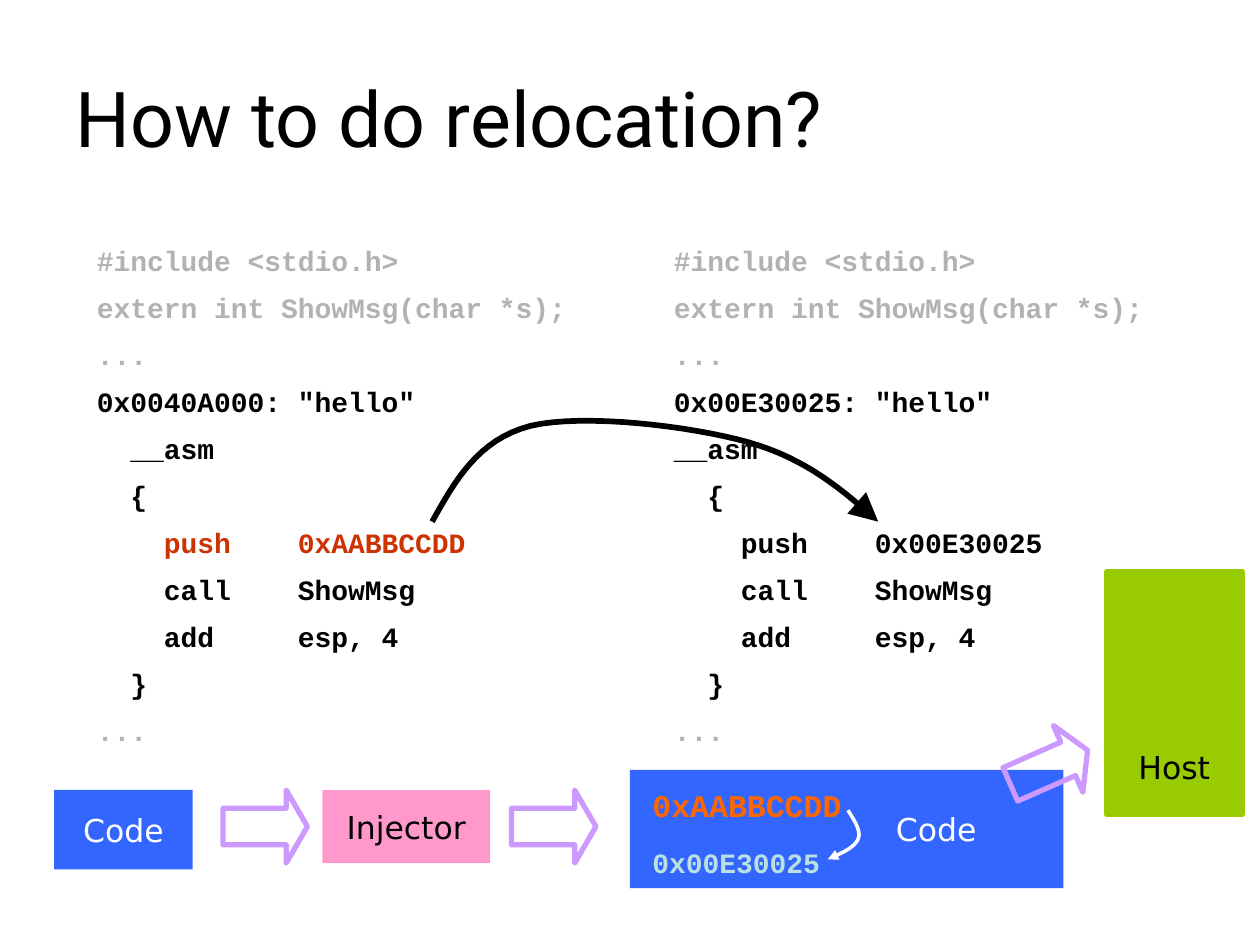
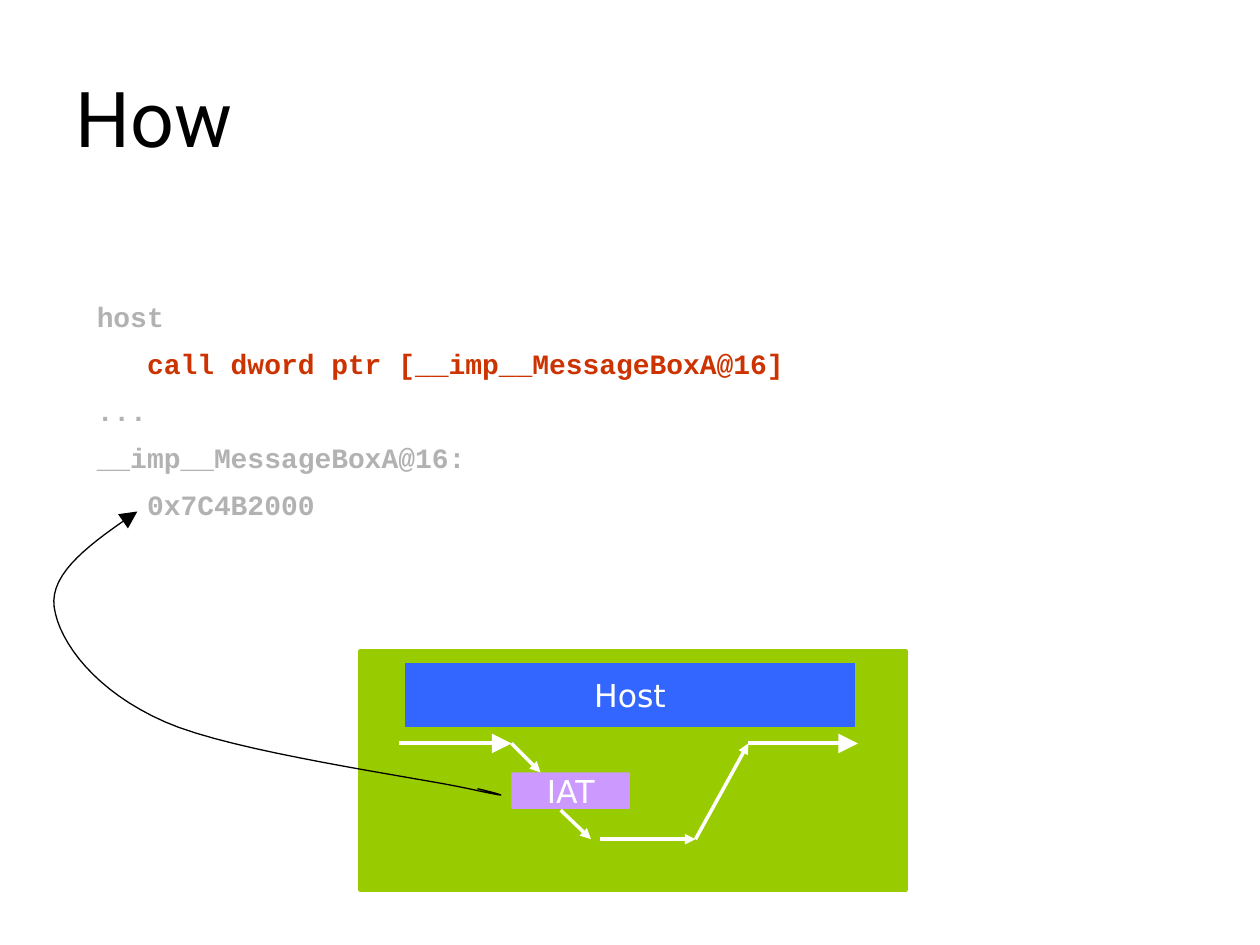
from pptx import Presentation
from pptx.dml.color import RGBColor
from pptx.enum.shapes import MSO_CONNECTOR, MSO_SHAPE
from pptx.enum.text import MSO_ANCHOR, PP_ALIGN
from pptx.oxml.ns import qn
from pptx.util import Inches, Pt
from lxml import etree

BLACK = RGBColor(0x00, 0x00, 0x00)
WHITE = RGBColor(0xFF, 0xFF, 0xFF)
GRAY = RGBColor(0xB2, 0xB2, 0xB2)
RED = RGBColor(0xCC, 0x33, 0x00)
ORANGE = RGBColor(0xFF, 0x66, 0x00)
BLUE = RGBColor(0x33, 0x66, 0xFF)
PALE = RGBColor(0xBB, 0xE0, 0xE3)
PINK = RGBColor(0xFF, 0x99, 0xCC)
LILAC = RGBColor(0xCC, 0x99, 0xFF)
GREEN = RGBColor(0x99, 0xCC, 0x00)

HEAD_FONT = "Roboto"
BODY_FONT = "DejaVu Sans"
CODE_FONT = "Courier New"

RECT, ARROW = MSO_SHAPE.RECTANGLE, MSO_SHAPE.RIGHT_ARROW
STRAIGHT = MSO_CONNECTOR.STRAIGHT
LEFT, CENTER = PP_ALIGN.LEFT, PP_ALIGN.CENTER
TOP, MIDDLE, BOTTOM = MSO_ANCHOR.TOP, MSO_ANCHOR.MIDDLE, MSO_ANCHOR.BOTTOM

COLS, ROWS = 100, 75
STEPS = 16


def grid(*cells):
    """Turn grid cells of a tenth of an inch into lengths."""
    return [Inches(cell / 10) for cell in cells]


def write(shape, lines, size=18, font=BODY_FONT, color=BLACK, bold=False,
          align=LEFT, anchor=TOP, space=1.0, left=1, foot=0.5):
    """Fill a shape with lines, each a string or a (string, colour) pair."""
    frame = shape.text_frame
    frame.word_wrap = True
    frame.vertical_anchor = anchor
    frame.margin_left, frame.margin_bottom = grid(left, foot)
    for i, line in enumerate(lines):
        words, tint = (line, color) if isinstance(line, str) else line
        para = frame.add_paragraph() if i else frame.paragraphs[0]
        para.alignment = align
        para.line_spacing = space
        run = para.add_run()
        run.text = words
        run.font.size = Pt(size)
        run.font.name = font
        run.font.bold = bold
        run.font.color.rgb = tint


def label(slide, area, lines, **style):
    """Add a text box on the grid."""
    write(slide.shapes.add_textbox(*grid(*area)), lines, **style)


def code(slide, area, lines, size=16, **style):
    """Add bold code in the fixed-width font."""
    label(slide, area, lines, size=size, font=CODE_FONT, bold=True, **style)


def title(slide, words):
    """Add the slide title."""
    label(slide, (5, 3, 90, 12.5), [words], size=44, font=HEAD_FONT,
          anchor=MIDDLE)


def block(slide, area, fill, words=None, color=WHITE, edge=None,
          anchor=MIDDLE, **style):
    """Add a filled rectangle with an optional caption."""
    shape = slide.shapes.add_shape(RECT, *grid(*area))
    shape.shadow.inherit = False
    shape.fill.solid()
    shape.fill.fore_color.rgb = fill
    if edge is None:
        shape.line.fill.background()
    else:
        shape.line.color.rgb = edge
        shape.line.width = Pt(3)
    if words:
        write(shape, [words], color=color, align=CENTER, anchor=anchor, **style)


def flow(slide, left, top, turn=0):
    """Add an outlined block arrow."""
    shape = slide.shapes.add_shape(ARROW, *grid(left, top, 6.7, 5.8))
    shape.shadow.inherit = False
    shape.adjustments[0], shape.adjustments[1] = 0.5, 0.29
    shape.rotation = turn
    shape.fill.background()
    shape.line.color.rgb = LILAC
    shape.line.width = Pt(3)


def stroke(shape, color, width, tip):
    """Style a line and give its end a triangle."""
    shape.line.color.rgb = color
    shape.line.width = Pt(width)
    edge = shape.line._get_or_add_ln()
    etree.SubElement(edge, qn("a:tailEnd"), type="triangle", w=tip, len=tip)


def link(slide, start, end, width=2, tip="med"):
    """Add a straight white arrow."""
    line = slide.shapes.add_connector(STRAIGHT, *grid(*start, *end))
    stroke(line, WHITE, width, tip)
    etree.SubElement(line._element.spPr, qn("a:effectLst"))


def bend(a, b, c, d):
    """Return points along one cubic curve, after its start."""
    points = []
    for step in range(1, STEPS + 1):
        t = step / STEPS
        u = 1 - t
        points.append(tuple(grid(*(
            u**3 * p + 3 * u * u * t * q + 3 * u * t * t * r + t**3 * s
            for p, q, r, s in zip(a, b, c, d)))))
    return points


def curve(slide, knots, color, width, tip):
    """Draw a curved arrow through cubic knots."""
    path = slide.shapes.build_freeform(*grid(*knots[0]))
    for i in range(0, len(knots) - 1, 3):
        path.add_line_segments(bend(*knots[i:i + 4]), close=False)
    shape = path.convert_to_shape()
    shape.shadow.inherit = False
    shape.fill.background()
    stroke(shape, color, width, tip)


def source(slide, left, data, asm, value, tint):
    """Add the listing with its data address and pushed value."""
    code(slide, (left, 17.8, 42.5, 42), [
        ("#include <stdio.h>", GRAY),
        ("extern int ShowMsg(char *s);", GRAY),
        ("...", GRAY),
        f'{data}: "hello"',
        asm,
        "  {",
        (f"    push    {value}", tint),
        "    call    ShowMsg",
        "    add     esp, 4",
        "  }",
        ("...", GRAY),
    ], space=1.4)


def move(slide):
    """Build the relocation slide."""
    title(slide, "How to do relocation?")
    source(slide, 6.7, "0x0040A000", "  __asm", "0xAABBCCDD", RED)
    source(slide, 52.5, "0x00E30025", "__asm", "0x00E30025", BLACK)
    curve(slide, [(34.3, 41.4), (36.1, 38.2), (37.9, 34.9), (42.1, 33.8),
                  (46.3, 32.8), (54.8, 33.8), (59.4, 35.1),
                  (64, 36.4), (66.9, 38.9), (69.7, 41.4)], BLACK, 3.25, "lg")
    block(slide, (25.6, 62.7, 13.3, 5.8), PINK, "Injector", color=BLACK)
    block(slide, (50, 61.1, 34.4, 9.4), BLUE, "Code", left=15.2)
    code(slide, (50.8, 61.9, 18, 4), ["0xAABBCCDD"], size=18, color=ORANGE)
    code(slide, (50.8, 66.6, 18, 3.7), ["0x00E30025"], color=PALE)
    curve(slide, [(67.3, 64.3), (67.8, 65.1), (68.4, 66), (68.1, 66.6),
                  (67.8, 67.3), (66.8, 67.7), (65.7, 68.2)], WHITE, 2, "med")
    block(slide, (4.3, 62.7, 11, 6.3), BLUE, "Code")
    for left in (17.7, 40.6):
        flow(slide, left, 62.7)
    block(slide, (87.8, 45.4, 10.8, 19.2), GREEN, "Host", color=BLACK,
          edge=GREEN, anchor=BOTTOM, foot=2.2)
    flow(slide, 79.9, 58, turn=336.2)


def hook(slide):
    """Build the import table slide."""
    title(slide, "How")
    block(slide, (28.6, 51.7, 43.3, 18.9), GREEN, edge=GREEN)
    block(slide, (31.9, 52.4, 36.2, 5.5), BLUE, "Host", edge=GREEN)
    block(slide, (40.6, 61.3, 9.4, 2.9), LILAC, "IAT")
    for start, end in (((31.7, 59), (40.6, 59)), ((59.4, 59), (68.1, 59))):
        link(slide, start, end, width=2.25, tip="lg")
    for start, end in (((40.6, 59), (42.9, 61.3)),
                       ((44.5, 64.3), (46.9, 66.6)),
                       ((47.6, 66.6), (55.2, 66.6)),
                       ((55.2, 66.6), (59.4, 59))):
        link(slide, start, end)
    code(slide, (6.7, 22.2, 86.6, 19.7), [
        "host",
        ("   call dword ptr [__imp__MessageBoxA@16]", RED),
        "...",
        "__imp__MessageBoxA@16:",
        "   0x7C4B2000",
    ], color=GRAY, space=1.4)
    curve(slide, [(37.9, 62.6), (39.6, 63), (41.3, 63.5), (37.2, 62.6),
                  (33.1, 61.7), (18.5, 59.7), (13.1, 57.3),
                  (7.6, 54.9), (4.7, 51), (4.3, 48.2),
                  (3.9, 45.4), (7.4, 43), (10.9, 40.6)], BLACK, 0.75, "lg")


def main():
    """Build and save the deck."""
    deck = Presentation()
    deck.slide_width, deck.slide_height = grid(COLS, ROWS)
    for build in (move, hook):
        build(deck.slides.add_slide(deck.slide_layouts[6]))
    deck.save("out.pptx")


if __name__ == "__main__":
    main()
